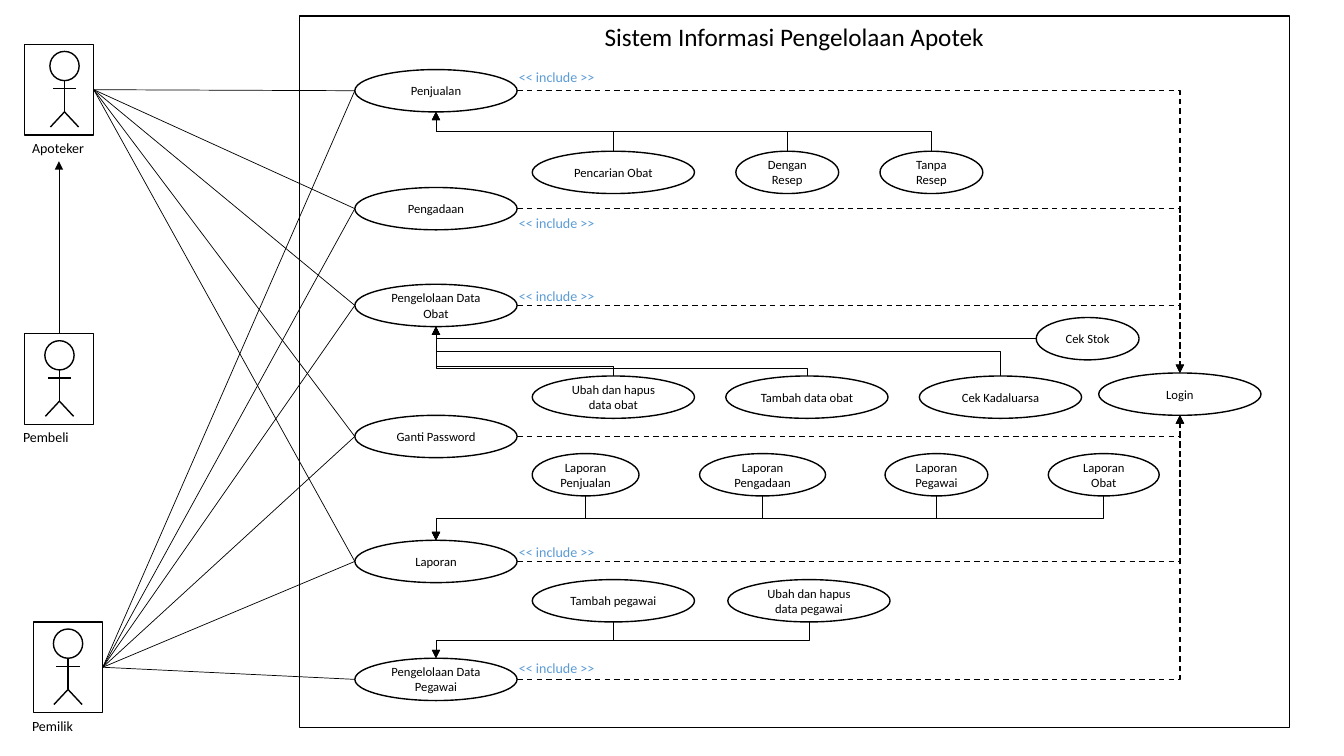
"""Draws a use case diagram of a pharmacy system on a grid of 0.1 inch units."""
from dataclasses import dataclass

from lxml import etree
from pptx import Presentation
from pptx.dml.color import RGBColor
from pptx.enum.dml import MSO_LINE
from pptx.enum.shapes import MSO_CONNECTOR, MSO_SHAPE
from pptx.enum.text import MSO_ANCHOR, MSO_AUTO_SIZE, PP_ALIGN
from pptx.oxml.ns import qn
from pptx.shapes.autoshape import Shape
from pptx.shapes.connector import Connector
from pptx.util import Inches, Pt

BLACK = RGBColor(0x00, 0x00, 0x00)
WHITE = RGBColor(0xFF, 0xFF, 0xFF)
BLUE = RGBColor(0x5B, 0x9B, 0xD5)
OVAL, RECT = MSO_SHAPE.OVAL, MSO_SHAPE.RECTANGLE
LINE, ELBOW = MSO_CONNECTOR.STRAIGHT, MSO_CONNECTOR.ELBOW
DASH = MSO_LINE.DASH
MIDDLE, TOP = MSO_ANCHOR.MIDDLE, MSO_ANCHOR.TOP
CENTER, FIT = PP_ALIGN.CENTER, MSO_AUTO_SIZE.SHAPE_TO_FIT_TEXT
FONT = "Calibri"
COLS, ROWS = 133.33, 75
WIDE, HIGH = 16.1, 4.2
HUB, SUB = 35.2, 52.8
BOX_W, BOX_H = 6.9, 9
HEAD = 2.9

Point = tuple[float, float]


@dataclass
class Sub:
    text: str
    x: float
    y: float
    w: float = WIDE
    rail: float = 0.5


@dataclass
class Hub:
    text: str
    y: float
    tag: float | None
    subs: tuple[Sub, ...] = ()


@dataclass
class Actor:
    name: str
    x: float
    y: float
    head: float
    label: float
    wide: float
    links: int


ACTORS = (
    Actor("Apoteker", 2.4, 4.4, 2.55, -0.2, 7.5, 5),
    Actor("Pembeli", 2.4, 33.1, 2.05, -1.1, 6.8, 0),
    Actor("Pemilik", 3.3, 61.7, 2, -1.1, 6.3, 6),
)
HUBS = (
    Hub("Penjualan", 6.9, 6.3, (
        Sub("Pencarian Obat", SUB, 15),
        Sub("Dengan Resep", 73, 15, 10.2),
        Sub("Tanpa Resep", 87.3, 15, 10.2))),
    Hub("Pengadaan", 18.6, 20.8),
    Hub("Pengelolaan Data Obat", 28.2, 28, (
        Sub("Ubah dan hapus data obat", SUB, 37.3, rail=0.19),
        Sub("Tambah data obat", 72, 37.3, rail=0.16),
        Sub("Cek Kadaluarsa", 91.2, 37.3),
        Sub("Cek Stok", 102.8, 31.5, 10.2, rail=0))),
    Hub("Ganti Password", 41.2, None),
    Hub("Laporan", 53.6, 53.4, (
        Sub("Laporan Penjualan", SUB, 45, 10.6),
        Sub("Laporan Pengadaan", 69.4, 45, 12.5),
        Sub("Laporan Pegawai", 87.8, 45, 10.2),
        Sub("Laporan Obat", 104, 45, 11))),
    Hub("Pengelolaan Data Pegawai", 65.3, 64.9, (
        Sub("Tambah pegawai", SUB, 57.5),
        Sub("Ubah dan hapus data pegawai", 72.2, 57.5))),
)
LOGIN = Sub("Login", 109, 37)

deck = Presentation()


def unit(size: float) -> int:
    return Inches(size / 10)


deck.slide_width, deck.slide_height = unit(COLS), unit(ROWS)
slide = deck.slides.add_slide(deck.slide_layouts[6])


def write(item: Shape, text: str, size: float, color: RGBColor = BLACK) -> None:
    item.text_frame.text = text
    font = item.text_frame.paragraphs[0].font
    font.name, font.size, font.color.rgb = FONT, Pt(size), color


def label(text: str, x: float, y: float, w: float, color: RGBColor = BLACK) -> None:
    item = slide.shapes.add_textbox(unit(x), unit(y), unit(w), unit(2.7))
    item.text_frame.word_wrap = False
    item.text_frame.auto_size = FIT
    write(item, text, 10, color)


def shape(kind: int, x: float, y: float, w: float, h: float) -> Shape:
    item = slide.shapes.add_shape(kind, unit(x), unit(y), unit(w), unit(h))
    item.shadow.inherit = False
    item.fill.background()
    item.line.color.rgb, item.line.width = BLACK, Pt(1)
    return item


def title(item: Shape, text: str, size: float, anchor: int) -> None:
    write(item, text, size)
    item.text_frame.word_wrap = True
    item.text_frame.vertical_anchor = anchor
    item.text_frame.paragraphs[0].alignment = CENTER


def oval(text: str, x: float, y: float, w: float = WIDE) -> None:
    item = shape(OVAL, x, y, w, HIGH)
    item.fill.solid()
    item.fill.fore_color.rgb = WHITE
    title(item, text, 9, MIDDLE)


def link(start: Point, end: Point, width: float = 0.5, kind: int = LINE,
         arrow: bool = False, dash: bool = False) -> Connector:
    item = slide.shapes.add_connector(kind, *map(unit, start + end))
    item.line.color.rgb, item.line.width = BLACK, Pt(width)
    if dash:
        item.line.dash_style = DASH
    props = item._element.spPr
    if arrow:
        etree.SubElement(props.find(qn("a:ln")), qn("a:tailEnd"), type="triangle")
    etree.SubElement(props, qn("a:effectLst"))
    return item


def corner(start: Point, end: Point, width: float = 0.5, dash: bool = False) -> None:
    item = link(start, end, width, ELBOW, True, dash)
    item._element.spPr.find(qn("a:prstGeom")).set("prst", "bentConnector2")


def step(start: Point, end: Point, rail: float) -> None:
    mid_x, mid_y = (start[0] + end[0]) / 2, (start[1] + end[1]) / 2
    half_w, half_h = abs(end[1] - start[1]) / 2, (start[0] - end[0]) / 2
    rises = end[1] < start[1]
    flip = -half_h if rises else half_h
    item = link((mid_x - half_w, mid_y - flip), (mid_x + half_w, mid_y + flip),
                kind=ELBOW, arrow=True)
    props = item._element.spPr
    props.find(qn("a:xfrm")).set("rot", str((270 if rises else 90) * 60000))
    etree.SubElement(props.find(qn("a:prstGeom")).find(qn("a:avLst")), qn("a:gd"),
                     name="adj1", fmla=f"val {round(rail * 100000)}")


def figure(actor: Actor) -> Shape:
    label(actor.name, actor.x + actor.label, actor.y + 8.95, actor.wide)
    left, top = actor.x + actor.head, actor.y + 0.7
    mid, hip = left + HEAD / 2, actor.y + 6.7
    shape(OVAL, left, top, HEAD, HEAD)
    link((mid, top + HEAD), (mid, hip), 1)
    for side in (-1.4, 1.4):
        link((mid, hip), (mid + side, hip + 1.5), 1)
    link((mid - 1.15, actor.y + 4.4), (mid + 1.15, actor.y + 4.4), 1)
    return shape(RECT, actor.x, actor.y, BOX_W, BOX_H)


def branch(hub: Hub, sub: Sub) -> None:
    oval(sub.text, sub.x, sub.y, sub.w)
    below = sub.y > hub.y
    end = (HUB + WIDE / 2, hub.y + HIGH * below)
    if sub.rail:
        step((sub.x + sub.w / 2, sub.y + HIGH * (not below)), end, sub.rail)
    else:
        corner((sub.x, sub.y + HIGH / 2), end)


def main() -> None:
    boxes = [figure(actor) for actor in ACTORS]
    title(shape(RECT, 29.7, 1.6, 98.2, 70.6), "Sistem Informasi Pengelolaan Apotek", 18, TOP)
    mid = ACTORS[1].x + BOX_W / 2
    link((mid, ACTORS[1].y), (mid, 16), arrow=True).begin_connect(boxes[1], 0)
    for actor, box in zip(ACTORS, boxes):
        for hub in HUBS[:actor.links]:
            side = (actor.x + BOX_W, actor.y + BOX_H / 2)
            link((HUB, hub.y + HIGH / 2), side).end_connect(box, 3)
    oval(LOGIN.text, LOGIN.x, LOGIN.y)
    for hub in HUBS:
        oval(hub.text, HUB, hub.y)
        gate = (LOGIN.x + WIDE / 2, LOGIN.y + HIGH * (hub.y > LOGIN.y))
        corner((HUB + WIDE, hub.y + HIGH / 2), gate, 1, True)
        for sub in hub.subs:
            branch(hub, sub)
        if hub.tag is not None:
            label("<< include >>", 50.5, hub.tag, 9.5, BLUE)
    deck.save("out.pptx")


if __name__ == "__main__":
    main()
